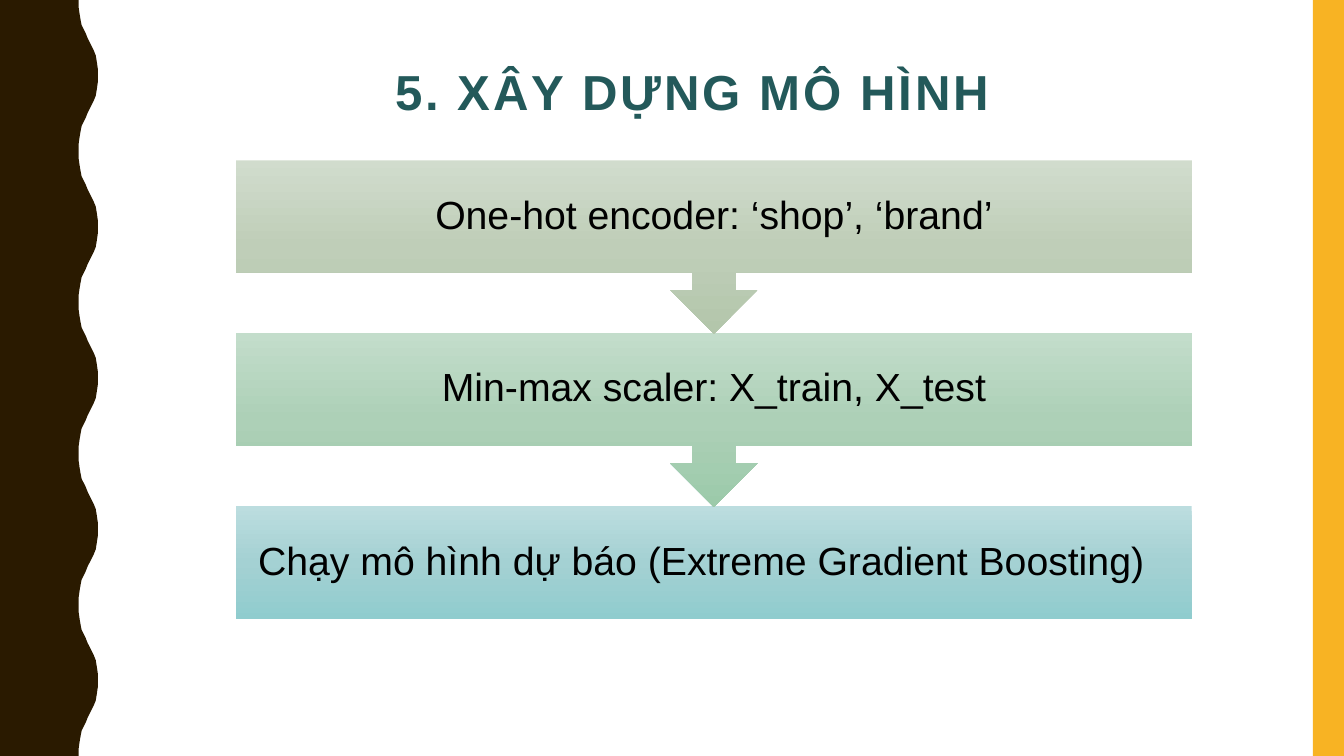
"""Build the model-building slide with three process steps."""
import copy
import dataclasses
import typing

import pptx
import pptx.dml.color
import pptx.enum.shapes
import pptx.enum.text
import pptx.util

RGBColor = pptx.dml.color.RGBColor
Shape = pptx.enum.shapes.MSO_SHAPE
Align = pptx.enum.text.PP_ALIGN
Anchor = pptx.enum.text.MSO_ANCHOR

EMU_PER_PX = 9144
SLIDE_WIDTH, SLIDE_HEIGHT = 1333, 750
FONT_NAME = "Arial"
STEP_LEFT, STEP_WIDTH = 234, 948

BROWN = RGBColor(0x2A, 0x1A, 0x00)
AMBER = RGBColor(0xF8, 0xB3, 0x23)
TEAL = RGBColor(0x23, 0x59, 0x5A)
BLACK = RGBColor(0x00, 0x00, 0x00)
SAGE = (RGBColor(0xD1, 0xDC, 0xCD), RGBColor(0xBF, 0xCE, 0xB8), RGBColor(0xB3, 0xC6, 0xAB))
GREEN = (RGBColor(0xC3, 0xDD, 0xCB), RGBColor(0xAD, 0xD0, 0xB7), RGBColor(0x9C, 0xCA, 0xAA))
AQUA = (RGBColor(0xBC, 0xDD, 0xDF), RGBColor(0xA4, 0xD1, 0xD3), RGBColor(0x90, 0xCC, 0xCE))

WAVE_PERIOD = 150
WAVE_RISE = [
    (78, 0), (78, 7), (79, 14), (80, 20), (81, 25), (83, 29), (85, 33), (87, 38),
    (89, 42), (91, 46), (93, 50), (95, 55), (96, 61), (97, 68), (97, 75),
]


@dataclasses.dataclass(frozen=True)
class Step:
    """One stage of the process."""

    text: str
    top: int
    height: int
    colors: tuple[RGBColor, RGBColor, RGBColor]
    preset: Shape = Shape.DOWN_ARROW_CALLOUT
    align: Align = Align.CENTER


STEPS = [
    Step("One-hot encoder: ‘shop’, ‘brand’", 159, 172, SAGE),
    Step("Min-max scaler: X_train, X_test", 330, 173, GREEN),
    Step("Chạy mô hình dự báo (Extreme Gradient Boosting)", 502, 112, AQUA,
         Shape.RECTANGLE, Align.LEFT),
]


def px(length: int) -> pptx.util.Emu:
    """Turn pixels into EMU."""
    return pptx.util.Emu(length * EMU_PER_PX)


def write_text(shape: typing.Any, text: str, *, size: float, color: RGBColor,
               align: Align = Align.CENTER, anchor: Anchor = Anchor.MIDDLE,
               inset: int = 10, bold: bool = False, letter_spacing: int = 0,
               line_spacing: float = 1.0) -> None:
    """Put one formatted paragraph into a shape."""
    frame = shape.text_frame
    frame.word_wrap = True
    frame.auto_size = pptx.enum.text.MSO_AUTO_SIZE.NONE
    frame.vertical_anchor = anchor
    frame.margin_left = frame.margin_right = px(inset)
    frame.margin_top = frame.margin_bottom = px(inset)
    paragraph = frame.paragraphs[0]
    paragraph.alignment = align
    paragraph.line_spacing = line_spacing
    run = paragraph.add_run()
    run.text = text
    run.font.name = FONT_NAME
    run.font.size = pptx.util.Pt(size)
    run.font.bold = bold
    run.font.color.rgb = color
    if letter_spacing:
        run.font._element.set("spc", str(letter_spacing * 100))


def fill_solid(shape: typing.Any, color: RGBColor) -> None:
    """Give a shape a flat fill without outline or shadow."""
    shape.shadow.inherit = False
    shape.line.fill.background()
    shape.fill.solid()
    shape.fill.fore_color.rgb = color


def fill_gradient(shape: typing.Any, colors: tuple[RGBColor, ...]) -> None:
    """Give a shape an evenly spaced gradient from top to bottom."""
    shape.shadow.inherit = False
    shape.line.fill.background()
    shape.fill.gradient()
    shape.fill.gradient_angle = 270
    stop_list = shape._element.spPr.find(".//" + pptx.oxml.ns.qn("a:gsLst"))
    stop_list.append(copy.deepcopy(stop_list[0]))
    for index, (stop, color) in enumerate(zip(shape.fill.gradient_stops, colors)):
        stop.color.rgb = color
        stop.position = index / (len(colors) - 1)


def add_wave(slide: typing.Any) -> None:
    """Draw the wavy band on the left edge."""
    wave = WAVE_RISE + [(x, WAVE_PERIOD - y) for x, y in reversed(WAVE_RISE[:-1])]
    edge = [(x, y + start) for start in range(0, SLIDE_HEIGHT, WAVE_PERIOD) for x, y in wave]
    builder = slide.shapes.build_freeform(0, 0, scale=EMU_PER_PX)
    builder.add_line_segments(edge + [(0, SLIDE_HEIGHT)], close=True)
    fill_solid(builder.convert_to_shape(), BROWN)


def add_step(slide: typing.Any, step: Step) -> None:
    """Draw one stage with its text."""
    shape = slide.shapes.add_shape(
        step.preset, px(STEP_LEFT), px(step.top), px(STEP_WIDTH), px(step.height))
    fill_gradient(shape, step.colors)
    write_text(shape, step.text, size=28, color=BLACK, align=step.align,
               inset=22, line_spacing=0.9)


def main() -> None:
    """Build and save the presentation."""
    presentation = pptx.Presentation()
    presentation.slide_width = px(SLIDE_WIDTH)
    presentation.slide_height = px(SLIDE_HEIGHT)
    slide = presentation.slides.add_slide(presentation.slide_layouts[5])

    add_wave(slide)
    bar = slide.shapes.add_shape(
        Shape.RECTANGLE, px(1302), px(0), px(31), px(SLIDE_HEIGHT))
    fill_solid(bar, AMBER)

    title = slide.shapes.title
    title.left, title.top, title.width, title.height = px(138), px(51), px(1114), px(98)
    write_text(title, "5. XÂY DỰNG MÔ HÌNH ", size=35.1, color=TEAL,
               anchor=Anchor.TOP, bold=True, letter_spacing=2)

    for step in reversed(STEPS):
        add_step(slide, step)
    presentation.save("out.pptx")


if __name__ == "__main__":
    main()
